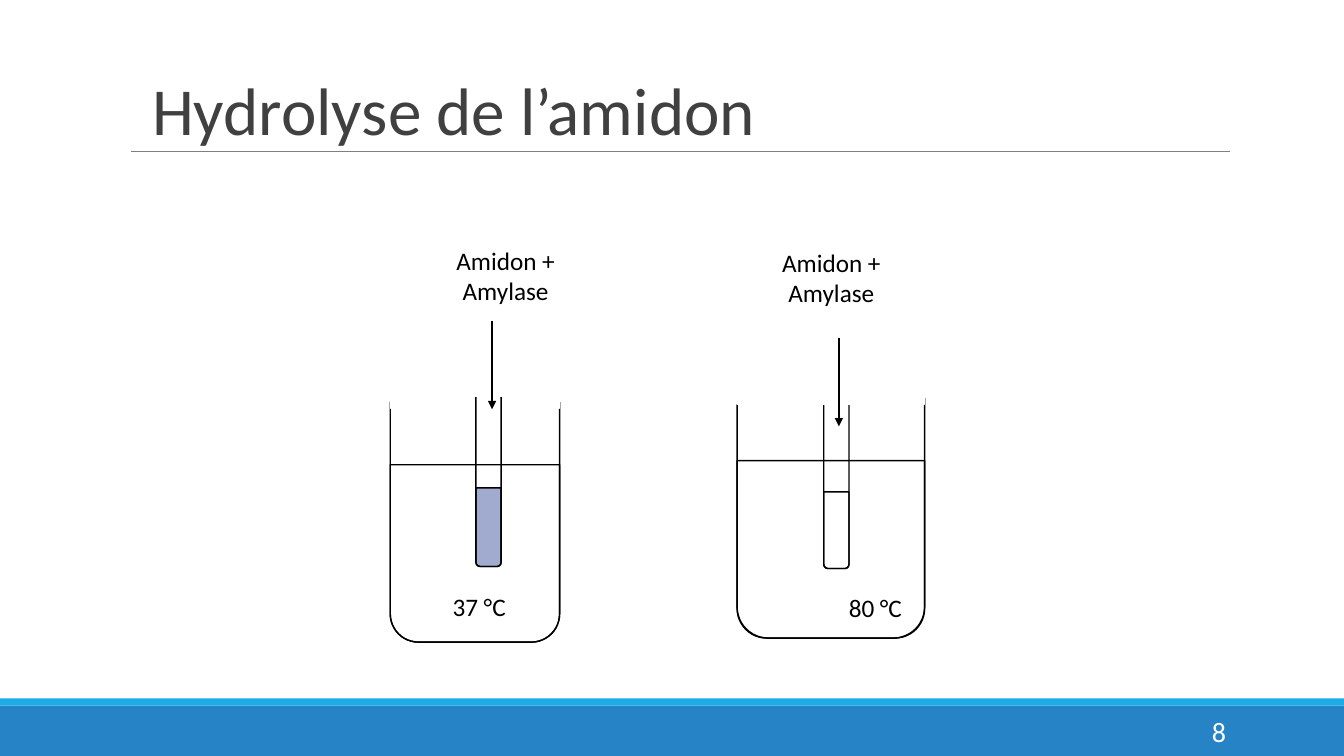
import pptx
import pptx.util
import pptx.dml.color
import pptx.enum.shapes
import pptx.enum.text
import pptx.oxml
import pptx.oxml.ns

Inches = pptx.util.Inches
Pt = pptx.util.Pt
SHAPES = pptx.enum.shapes.MSO_SHAPE
ALIGN = pptx.enum.text.PP_ALIGN
ANCHOR = pptx.enum.text.MSO_ANCHOR

COLORS = {
    "black": "000000",
    "white": "FFFFFF",
    "title": "404040",
    "rule": "808080",
    "footer": "2683C6",
    "footer_edge": "1CADE4",
    "starch": "A1ABD0",
}
FONT = "Calibri"
COVER_HEIGHT = 0.13


def rgb(name):
    return pptx.dml.color.RGBColor.from_string(COLORS[name])


def add_block(shapes, kind, left, top, width, height, fill=None, line=None):
    shape = shapes.add_shape(kind, Inches(left), Inches(top), Inches(width), Inches(height))
    shape.shadow.inherit = False
    if fill:
        shape.fill.solid()
        shape.fill.fore_color.rgb = rgb(fill)
    else:
        shape.fill.background()
    if line:
        shape.line.color.rgb = rgb(line)
        shape.line.width = Pt(1)
    else:
        shape.line.fill.background()
    return shape


def add_text(slide, text, left, top, width, height, size=18, color="black",
             align=ALIGN.LEFT, anchor=ANCHOR.TOP):
    box = slide.shapes.add_textbox(Inches(left), Inches(top), Inches(width), Inches(height))
    frame = box.text_frame
    frame.word_wrap = True
    frame.vertical_anchor = anchor
    paragraph = frame.paragraphs[0]
    paragraph.text = text
    paragraph.alignment = align
    paragraph.font.name = FONT
    paragraph.font.size = Pt(size)
    paragraph.font.color.rgb = rgb(color)


def add_line(slide, start, end, color="black", width=1, arrow=False):
    line = slide.shapes.add_connector(
        pptx.enum.shapes.MSO_CONNECTOR.STRAIGHT, *map(Inches, start + end))
    line.line.color.rgb = rgb(color)
    line.line.width = Pt(width)
    if arrow:
        line_xml = line.line._get_or_add_ln()
        head = pptx.oxml.parse_xml(
            f'<a:tailEnd {pptx.oxml.ns.nsdecls("a")} type="triangle"/>')
        line_xml.append(head)
    line.element.spPr.append(
        pptx.oxml.parse_xml(f'<a:effectLst {pptx.oxml.ns.nsdecls("a")}/>'))


def add_vessel(slide, left, top, width, bottom, level, fill=None, cover_margin=0.0, cover_rise=0.07):
    """Open glass vessel: liquid, wall, and a white strip that hides the upper edge."""
    shapes = slide.shapes.add_group_shape().shapes
    for upper, color in ((level, fill), (top, None)):
        part = add_block(shapes, SHAPES.ROUND_2_SAME_RECTANGLE, left, upper,
                         width, bottom - upper, color, "black")
        part.rotation = 180
    add_block(shapes, SHAPES.RECTANGLE, left - cover_margin, top - cover_rise,
              width + 2 * cover_margin, COVER_HEIGHT, "white", "white")


def add_tube(slide, left, top, bottom, level, fill=None):
    add_vessel(slide, left, top, 0.25, bottom, level, fill, cover_margin=0.125, cover_rise=0.05)


def main():
    presentation = pptx.Presentation()
    presentation.slide_width = Inches(13.33)
    presentation.slide_height = Inches(7.5)
    slide = presentation.slides.add_slide(presentation.slide_layouts[6])

    # Footer, title and rule
    add_block(slide.shapes, SHAPES.RECTANGLE, 0, 7, 13.33, 0.5, "footer")
    add_block(slide.shapes, SHAPES.RECTANGLE, 0, 6.93, 13.33, 0.07, "footer_edge")
    add_line(slide, (1.3, 1.5), (12.2, 1.5), "rule", 0.5)
    add_text(slide, "8", 10.83, 7.06, 1.43, 0.4, size=20, color="white",
             align=ALIGN.RIGHT, anchor=ANCHOR.MIDDLE)
    add_text(slide, "Hydrolyse de l’amidon", 1.41, 0.63, 9.64, 0.91, size=48, color="title")

    # Water baths with their test tubes
    add_vessel(slide, 3.87, 3.99, 1.68, 6.37, 4.61)
    add_tube(slide, 4.72, 3.85, 5.62, 4.84, "starch")
    add_tube(slide, 8.17, 3.86, 5.64, 4.88)
    add_vessel(slide, 7.31, 3.95, 1.86, 6.33, 4.57)

    # Reagents poured into each tube
    for left, top, width, arrow_x, arrow_top in ((4, 2.38, 2.03, 4.88, 3.18),
                                                 (7.57, 2.4, 1.35, 8.32, 3.35)):
        add_text(slide, "Amidon + Amylase", left, top, width, 0.71, align=ALIGN.CENTER)
        add_line(slide, (arrow_x, arrow_top), (arrow_x, arrow_top + 0.88), arrow=True)

    # Bath temperatures
    add_text(slide, "37 °C", 4.39, 5.82, 0.83, 0.4)
    add_text(slide, "80 °C", 8.32, 5.83, 0.83, 0.4)

    presentation.save("out.pptx")


if __name__ == "__main__":
    main()
